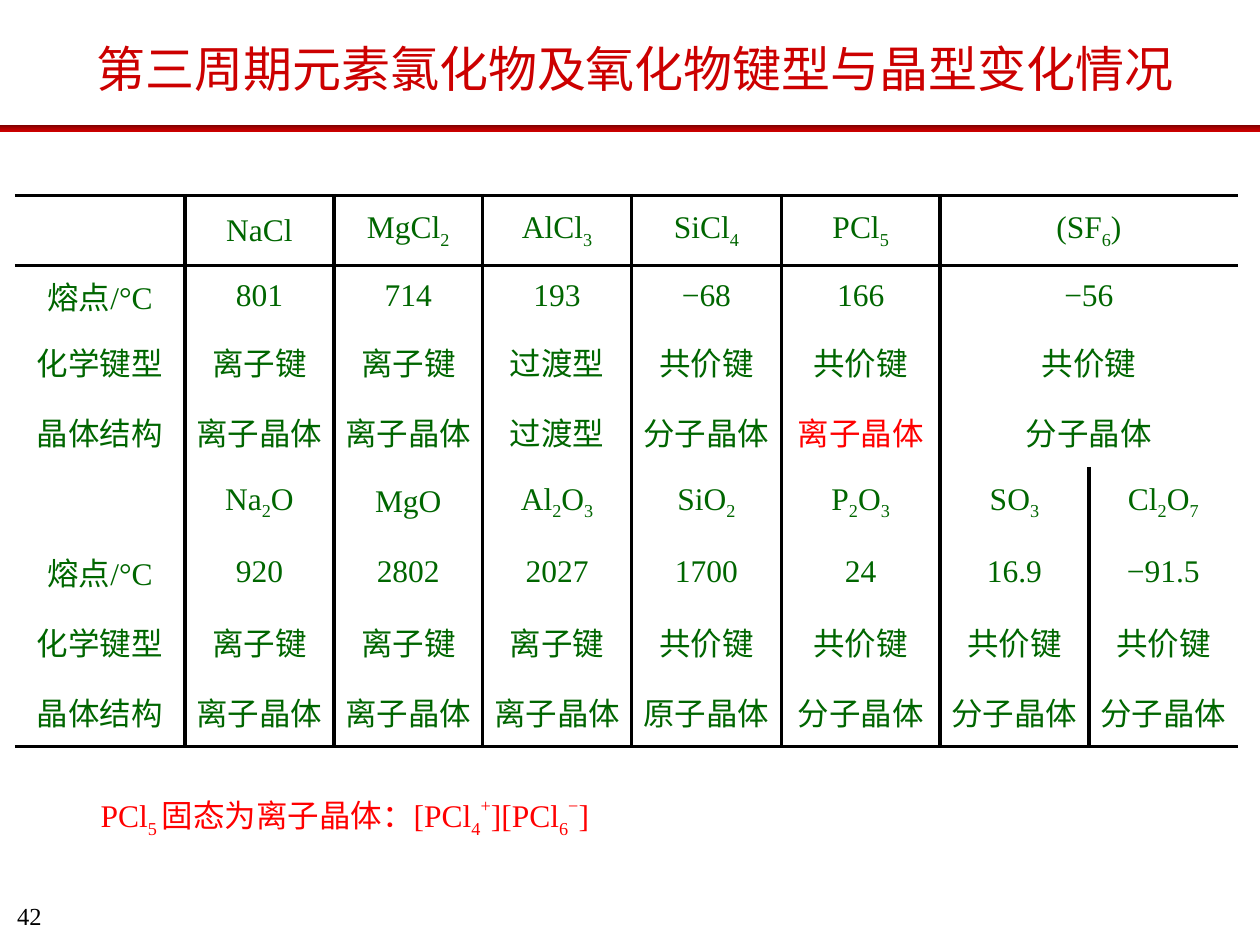
from dataclasses import dataclass

from lxml import etree
from copy import deepcopy
from pptx import Presentation
from pptx.dml.color import RGBColor
from pptx.enum.shapes import MSO_SHAPE
from pptx.enum.text import MSO_ANCHOR, MSO_AUTO_SIZE, PP_ALIGN
from pptx.oxml.ns import qn
from pptx.util import Cm, Pt

RECT = MSO_SHAPE.RECTANGLE
MIDDLE = MSO_ANCHOR.MIDDLE
GROW = MSO_AUTO_SIZE.SHAPE_TO_FIT_TEXT
LEFT, CENTER, RIGHT = PP_ALIGN.LEFT, PP_ALIGN.CENTER, PP_ALIGN.RIGHT

FONT = "Times New Roman"
COLORS = {
    "title": "CC0000", "body": "006600", "alert": "FF0000", "line": "000000",
    "dark": "790000", "mid": "AC0000", "bright": "CC0000",
}
SHIFTS = {"_": "-25000", "^": "50000"}

# "|" splits runs; a leading "_" lowers a run and "^" raises it
CHLORIDES = [
    ["", "NaCl", "MgCl|_2", "AlCl|_3", "SiCl|_4", "PCl|_5", "(SF|_6|)", ""],
    ["熔点/°C", "801", "714", "193", "−68", "166", "−56", ""],
    ["化学键型", "离子键", "离子键", "过渡型", "共价键", "共价键", "共价键", ""],
    ["晶体结构", "离子晶体", "离子晶体", "过渡型", "分子晶体", "离子晶体", "分子晶体", ""],
]
OXIDES = [
    ["", "Na|_2|O", "MgO", "Al|_2|O|_3", "SiO|_2", "P|_2|O|_3", "SO|_3", "Cl|_2|O|_7"],
    ["熔点/°C", "920", "2802", "2027", "1700", "24", "16.9", "−91.5"],
    ["化学键型"] + ["离子键"] * 3 + ["共价键"] * 4,
    ["晶体结构"] + ["离子晶体"] * 3 + ["原子晶体"] + ["分子晶体"] * 3,
]
ROWS = CHLORIDES + OXIDES
WIDTHS = [3.43, 3, 3, 3, 3.02, 3.2, 3, 3]
HEIGHTS = [1.41, 1.24] + [1.41] * 6
ALERT = (3, 5)
WIDE = 6  # first of the two columns joined for the chlorides


@dataclass
class Label:
    text: str
    left: float
    top: float
    width: float
    height: float
    size: float
    color: str
    align: PP_ALIGN = LEFT
    tight: bool = False


LABELS = [
    Label("42", 0.1, 18.16, 0.74, 0.76, 14, "line", RIGHT, True),
    Label("第三周期元素氯化物及氧化物键型与晶型变化情况",
          1.7, 0.66, 22.56, 1.45, 28, "title"),
    Label("PCl|_5 |固态为离子晶体：[PCl|_4|^+|][PCl|_6|^−|]",
          1.78, 15.88, 10.92, 1.02, 18, "alert"),
]


def rgb(name: str) -> RGBColor:
    return RGBColor.from_string(COLORS[name])


def write(para, text: str, size: float, color: str, align: PP_ALIGN) -> None:
    para.alignment = align
    for part in text.split("|"):
        shift = SHIFTS.get(part[:1])
        run = para.add_run()
        run.text = part[1:] if shift else part
        run.font.size = Pt(size)
        run.font.name = FONT
        run.font.color.rgb = rgb(color)
        if shift:
            run.font._element.set("baseline", shift)


def add_label(slide, label: Label) -> None:
    box = slide.shapes.add_textbox(
        Cm(label.left), Cm(label.top), Cm(label.width), Cm(label.height))
    frame = box.text_frame
    frame.word_wrap = label.tight
    if label.tight:
        frame.margin_left = frame.margin_right = 0
        frame.margin_top = frame.margin_bottom = 0
    else:
        frame.auto_size = GROW
    write(frame.paragraphs[0], label.text, label.size, label.color, label.align)


def set_edge(cell, side: str, shown: bool) -> None:
    line = etree.SubElement(cell._tc.get_or_add_tcPr(), qn(f"a:ln{side}"))
    if not shown:
        etree.SubElement(line, qn("a:noFill"))
        return
    line.set("w", str(Pt(2.25)))
    fill = etree.SubElement(line, qn("a:solidFill"))
    etree.SubElement(fill, qn("a:srgbClr"), val=COLORS["line"])


def has_rule(row: int, edge: int) -> bool:
    """Tell whether a vertical rule runs at this column edge."""
    if edge == WIDE + 1:
        return row >= len(CHLORIDES)
    return 0 < edge < len(WIDTHS)


def fill_cell(cell, row: int, col: int) -> None:
    cell.vertical_anchor = MIDDLE
    cell.margin_left = cell.margin_right = Cm(0.22)
    cell.margin_top = cell.margin_bottom = Cm(0.13)
    if ROWS[row][col]:
        color = "alert" if (row, col) == ALERT else "body"
        write(cell.text_frame.paragraphs[0], ROWS[row][col], 18, color, CENTER)
    bars = (0, 1, len(ROWS))
    set_edge(cell, "L", has_rule(row, col))
    set_edge(cell, "R", has_rule(row, col + 1))
    set_edge(cell, "T", row in bars)
    set_edge(cell, "B", row + 1 in bars)
    cell.fill.background()


def add_grid(slide) -> None:
    table = slide.shapes.add_table(
        len(ROWS), len(WIDTHS), Cm(0.3), Cm(3.94),
        Cm(sum(WIDTHS)), Cm(sum(HEIGHTS))).table
    table.first_row = table.horz_banding = False
    for col, width in zip(table.columns, WIDTHS):
        col.width = Cm(width)
    for row, height in zip(table.rows, HEIGHTS):
        row.height = Cm(height)
    for row in range(len(CHLORIDES)):
        table.cell(row, WIDE).merge(table.cell(row, WIDE + 1))
    for row in range(len(ROWS)):
        for col in range(len(WIDTHS)):
            fill_cell(table.cell(row, col), row, col)


def add_band(slide, width) -> None:
    band = slide.shapes.add_shape(RECT, 0, Cm(2.52), width, Cm(0.13))
    band.shadow.inherit = False
    band.line.fill.background()
    band.fill.gradient()
    band.fill.gradient_angle = 270
    first = band._element.spPr.find(".//" + qn("a:gs"))
    first.addnext(deepcopy(first))
    stops = zip(band.fill.gradient_stops, (0, 0.5, 1), ("dark", "mid", "bright"))
    for stop, place, color in stops:
        stop.position = place
        stop.color.rgb = rgb(color)


def main() -> None:
    deck = Presentation()
    deck.slide_width, deck.slide_height = Cm(25.4), Cm(19.05)
    slide = deck.slides.add_slide(deck.slide_layouts[6])
    # Page number, title and footnote
    for label in LABELS:
        add_label(slide, label)
    # Table of compounds
    add_grid(slide)
    # Band below the title
    add_band(slide, deck.slide_width)
    deck.save("out.pptx")


if __name__ == "__main__":
    main()
